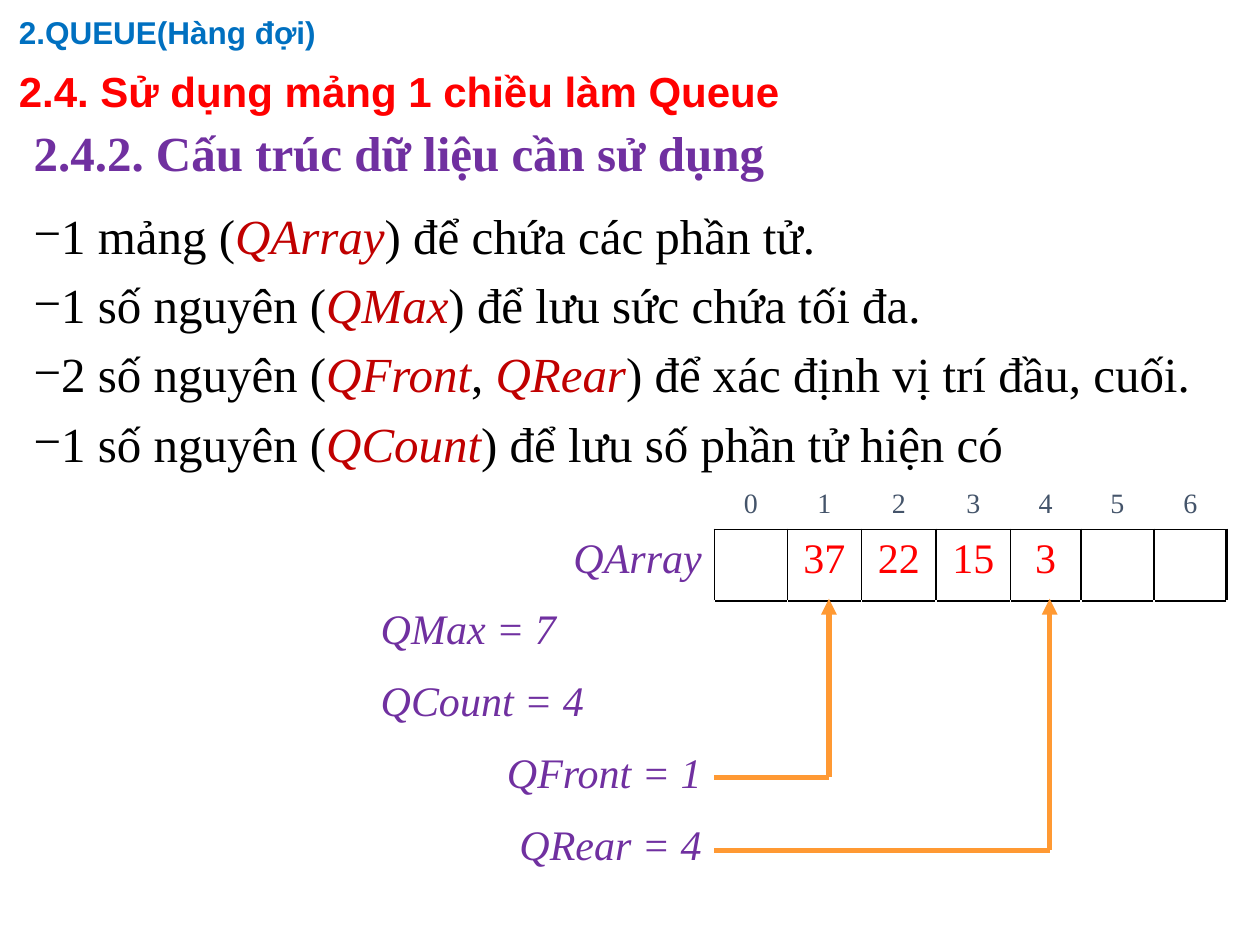
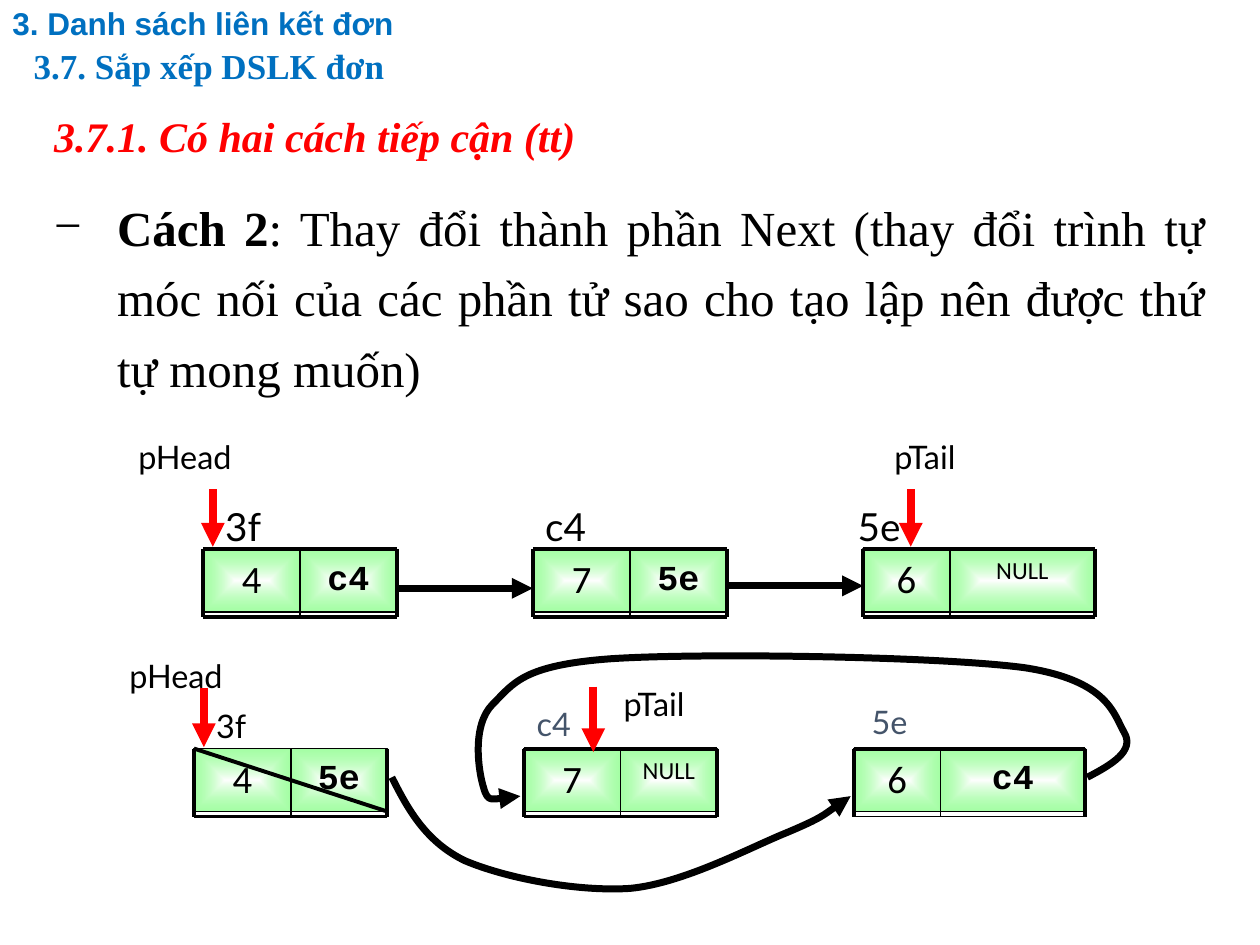
from dataclasses import dataclass

from lxml.etree import SubElement
from pptx import Presentation
from pptx.dml.color import RGBColor
from pptx.enum.shapes import MSO_CONNECTOR, MSO_SHAPE
from pptx.enum.text import MSO_ANCHOR, PP_ALIGN
from pptx.oxml import parse_xml
from pptx.oxml.ns import nsdecls, qn
from pptx.util import Cm, Pt


@dataclass(frozen=True)
class Theme:
    black: str = "000000"
    white: str = "FFFFFF"
    blue: str = "0070C0"
    red: str = "FF0000"
    dark_red: str = "C00000"
    purple: str = "7030A0"
    slate: str = "44546A"
    orange: str = "FF9933"
    green: str = "69FF69"
    serif: str = "Times New Roman"
    sans: str = "Arial"
    label: str = "Lato"
    value: str = "Calibri"
    code: str = "Courier New"
    chapter: float = 18
    section: float = 20
    heading: float = 24
    body: float = 28
    index: float = 16
    address: float = 22.1
    pointer: float = 18.5
    next: float = 20
    null: float = 14


T = Theme()
LEFT, CENTER, RIGHT, JUSTIFY = PP_ALIGN.LEFT, PP_ALIGN.CENTER, PP_ALIGN.RIGHT, PP_ALIGN.JUSTIFY

# Text between bars is emphasised. All positions are in centimetres.
QUEUE_HEADINGS = [
    ("2.QUEUE(Hàng đợi)", (0.13, 0.05, 21.89, 1.27), T.sans, T.chapter, T.blue, LEFT, 0.9),
    ("2.4. Sử dụng mảng 1 chiều làm Queue", (0.13, 1.02, 25.27, 1.73),
     T.sans, T.heading, T.red, JUSTIFY, 0.9),
    ("2.4.2. Cấu trúc dữ liệu cần sử dụng", (0.43, 2.11, 24.97, 1.78),
     T.serif, T.body, T.purple, JUSTIFY, 1.1),
]
QUEUE_FIELDS = [
    "1 mảng (|QArray|) để chứa các phần tử.",
    "1 số nguyên (|QMax|) để lưu sức chứa tối đa.",
    "2 số nguyên (|QFront|, |QRear|) để xác định vị trí đầu, cuối.",
    "1 số nguyên (|QCount|) để lưu số phần tử hiện có",
]
ARRAY_AT = (7.42, 9.73)
ARRAY_COLUMNS = [6.98, 1.47, 1.5, 1.5, 1.5, 1.42, 1.47, 1.47]
ARRAY_ROWS = [0.94] + [1.45] * 5
ARRAY_SLOTS = ["", "37", "22", "15", "3", "", ""]
ARRAY_FIELDS = [("QArray", RIGHT), ("QMax = 7", LEFT), ("QCount = 4", LEFT),
                ("QFront = 1", RIGHT), ("QRear = 4", RIGHT)]
FIELD_EDGE, SLOT_BOTTOM = 14.4, 12.07
INDEX_ARROWS = [(16.71, 15.67), (21.16, 17.14)]

LIST_HEADINGS = [
    ("3.7. Sắp xếp DSLK đơn", (0.43, 0.74, 21.26, 1.27), T.serif, T.section, T.blue, LEFT, 0.9),
    ("3. Danh sách liên kết đơn", (0, 0, 21.26, 1.02), T.sans, T.chapter, T.blue, LEFT, 0.9),
]
APPROACH_TITLE = "3.7.1. Có hai cách tiếp cận (tt)"
APPROACH = ("|Cách 2|: Thay đổi thành phần Next (thay đổi trình tự móc nối của các phần tử "
            "sao cho tạo lập nên được thứ tự mong muốn)")

NODE_PITCH, NODE_HEIGHT, FRAME_HEIGHT = 6.65, 1.27, 1.37
NODE_WIDTHS = [(1.95, 1.95), (1.95, 1.95), (1.75, 2.92)]
BEFORE = dict(
    at=(4.1, 11.07),
    nodes=[("4", "c4"), ("7", "5e"), ("6", "NULL")],
    pointers=[("pHead", 2.54, 8.69), ("pTail", 17.78, 8.69)],
    pointer_arrows=[(4.29, 9.86, 11.02), (18.36, 9.86, 11.02)],
    addresses=[("3f", 4.29, 10.01), ("c4", 10.74, 10.01), ("5e", 17.04, 10.01)],
    address_size=T.address,
)
AFTER = dict(
    at=(3.91, 15.09),
    nodes=[("4", "5e"), ("7", "NULL"), ("6", "c4")],
    pointers=[("pHead", 2.36, 13.11), ("pTail", 12.32, 13.67)],
    pointer_arrows=[(4.11, 13.87, 15.06), (11.96, 13.84, 15.16)],
    addresses=[("3f", 4.11, 14.12), ("c4", 10.57, 14.07), ("5e", 17.32, 14.02)],
    address_size=T.pointer,
    outlined=("c4", "5e"),
    struck_node=0,
    thin_base=2,
)
STRAIGHT_LINKS = [(8.0, 11.86, 10.74), (14.66, 11.81, 17.4)]
CURVED_LINKS = [
    [(7.9, 15.67), (8.23, 16.33), (8.59, 16.97), (9.37, 17.35),
     (10.19, 17.7), (11.63, 17.98), (12.7, 17.91),
     (13.77, 17.81), (15.11, 17.09), (15.85, 16.79),
     (16.59, 16.48), (16.84, 16.26), (17.15, 16.05)],
    [(21.92, 15.67), (22.4, 15.42), (22.89, 15.14), (22.66, 14.76),
     (22.45, 14.4), (22.35, 13.72), (20.65, 13.46),
     (18.92, 13.23), (14.12, 13.16), (12.32, 13.28),
     (10.54, 13.41), (10.36, 13.77), (9.93, 14.2),
     (9.5, 14.63), (9.65, 15.57), (9.75, 15.88),
     (9.83, 16.18), (10.16, 16.1), (10.49, 16.05)],
]


def rgb(color):
    return RGBColor.from_string(color)


def set_font(font, name, size, color, bold=False, italic=False):
    font.name, font.size, font.bold, font.italic = name, Pt(size), bold, italic
    font.color.rgb = rgb(color)


def write(paragraph, text, name, size, color, align=LEFT, bold=False, italic=False):
    paragraph.alignment = align
    set_font(paragraph.font, name, size, color, bold, italic)
    if text:
        paragraph.add_run().text = text


def write_bullet(paragraph, marked, indent, **emphasis):
    """Write a dashed item whose parts between bars carry the emphasis."""
    properties = paragraph._p.get_or_add_pPr()
    properties.set("marL", str(Cm(indent)))
    properties.set("indent", str(-Cm(indent)))
    SubElement(properties, qn("a:buFont"), typeface=T.serif)
    SubElement(properties, qn("a:buChar"), char="−")
    write(paragraph, "", T.serif, T.body, T.black, JUSTIFY)
    for i, part in enumerate(marked.split("|")):
        if part:
            run = paragraph.add_run()
            run.text = part
            if i % 2:
                set_font(run.font, T.serif, T.body, **emphasis)


def add_frame(slide, box, anchor=MSO_ANCHOR.TOP):
    frame = slide.shapes.add_textbox(*map(Cm, box)).text_frame
    frame.word_wrap = True
    frame.vertical_anchor = anchor
    return frame


def add_headings(slide, headings):
    for text, box, name, size, color, align, spacing in headings:
        paragraph = add_frame(slide, box, MSO_ANCHOR.MIDDLE).paragraphs[0]
        paragraph.line_spacing = spacing
        write(paragraph, text, name, size, color, align, bold=True)


def style_line(line, color, width, arrow=False):
    line.color.rgb = rgb(color)
    line.width = Pt(width)
    if arrow:
        SubElement(line._get_or_add_ln(), qn("a:tailEnd"), type="triangle")


def add_line(slide, start, end, color, width, arrow=False):
    line = slide.shapes.add_connector(MSO_CONNECTOR.STRAIGHT, *map(Cm, (*start, *end)))
    style_line(line.line, color, width, arrow)
    SubElement(line._element.spPr, qn("a:effectLst"))


def add_curve(slide, points):
    """Draw a Bézier arrow: a start point, then three points per segment."""
    start, *rest = [(Cm(x), Cm(y)) for x, y in points]
    builder = slide.shapes.build_freeform(*start)
    builder.add_line_segments(rest, close=False)
    curve = builder.convert_to_shape()
    curve.shadow.inherit = False
    curve.fill.background()
    style_line(curve.line, T.black, 4, arrow=True)
    outline = next(curve._element.iter(qn("a:path")))
    steps = outline.findall(qn("a:lnTo"))
    for i in range(0, len(steps), 3):
        bezier = SubElement(outline, qn("a:cubicBezTo"))
        for step in steps[i:i + 3]:
            bezier.append(step[0])
            outline.remove(step)


def add_borders(cell, sides):
    properties = cell._tc.get_or_add_tcPr()
    for side in "LRTB":
        if side in sides:
            properties.append(parse_xml(
                f'<a:ln{side} {nsdecls("a")} w="{Pt(sides[side])}"><a:solidFill>'
                f'<a:srgbClr val="{T.black}"/></a:solidFill></a:ln{side}>'))


def array_borders(row, column):
    last = len(ARRAY_COLUMNS) - 1
    if column == 0:
        return {"R": 1} if row == 1 else {}
    if row == 1:
        return {"L": 1, "R": 2.25 if column == last else 1, "T": 1, "B": 1}
    return {0: {"B": 1}, 2: {"T": 1}}.get(row, {})


def add_array(slide):
    table = slide.shapes.add_table(
        len(ARRAY_ROWS), len(ARRAY_COLUMNS), *map(Cm, ARRAY_AT),
        Cm(sum(ARRAY_COLUMNS)), Cm(sum(ARRAY_ROWS))).table
    table.first_row = table.horz_banding = False
    for column, width in zip(table.columns, ARRAY_COLUMNS):
        column.width = Cm(width)
    for r, height in enumerate(ARRAY_ROWS):
        table.rows[r].height = Cm(height)
        for c in range(len(ARRAY_COLUMNS)):
            cell = table.cell(r, c)
            add_borders(cell, array_borders(r, c))
            cell.fill.background()
            paragraph = cell.text_frame.paragraphs[0]
            if r == 0:
                write(paragraph, str(c - 1) if c else "", T.serif, T.index, T.slate, CENTER)
            elif c == 0:
                text, align = ARRAY_FIELDS[r - 1]
                write(paragraph, text, T.serif, T.heading, T.purple, align, italic=True)
            else:
                text = ARRAY_SLOTS[c - 1] if r == 1 else ""
                write(paragraph, text, T.serif, T.heading, T.red, CENTER)


def add_node_cell(slide, x, y, width, text, name, size, bold=False):
    cell = slide.shapes.add_shape(MSO_SHAPE.RECTANGLE, *map(Cm, (x, y, width, NODE_HEIGHT)))
    cell.shadow.inherit = False
    style_line(cell.line, T.black, 0.75)
    cell._element.spPr.insert(2, parse_xml(
        f'<a:gradFill {nsdecls("a")} rotWithShape="1"><a:gsLst>'
        f'<a:gs pos="0"><a:srgbClr val="{T.white}"/></a:gs><a:gs pos="100000">'
        f'<a:srgbClr val="{T.green}"><a:alpha val="60000"/></a:srgbClr></a:gs></a:gsLst>'
        '<a:path path="shape"><a:fillToRect l="50000" t="50000" r="50000" b="50000"/>'
        '</a:path></a:gradFill>'))
    cell.text_frame.vertical_anchor = MSO_ANCHOR.TOP
    cell.text_frame.word_wrap = True
    write(cell.text_frame.paragraphs[0], text, name, size, T.black, CENTER, bold)


def add_node(slide, x, y, widths, value, following, struck, base_width):
    middle, right = x + widths[0], x + sum(widths)
    bottom = y + FRAME_HEIGHT
    next_style = (T.value, T.null) if following == "NULL" else (T.code, T.next, True)
    add_node_cell(slide, middle, y, widths[1], following, *next_style)
    add_node_cell(slide, x, y, widths[0], value, T.value, T.address)
    add_line(slide, (x, y), (right, y + NODE_HEIGHT if struck else y), T.black, 2.25)
    add_line(slide, (x, bottom), (right, bottom), T.black, base_width)
    for side, width in ((x, 2.25), (middle, 1), (right, 2.25)):
        add_line(slide, (side, y), (side, bottom), T.black, width)


def add_linked_list(slide, at, nodes, pointers, pointer_arrows, addresses, address_size,
                    outlined=(), struck_node=None, thin_base=None):
    for text, x, y in addresses:
        height = 1.19 if address_size == T.address else 1.04
        label = slide.shapes.add_textbox(*map(Cm, (x, y, 1.75, height)))
        label.text_frame.word_wrap = True
        if text in outlined:
            style_line(label.line, T.white, 3)
        write(label.text_frame.paragraphs[0], text, T.label, address_size,
              T.slate if text in outlined else T.black)
    for i, (value, following) in enumerate(nodes):
        add_node(slide, at[0] + i * NODE_PITCH, at[1], NODE_WIDTHS[i], value, following,
                 i == struck_node, 0.75 if i == thin_base else 2.25)
    for text, x, y in pointers:
        write(add_frame(slide, (x, y, 2.74, 1.04)).paragraphs[0],
              text, T.label, T.pointer, T.black)
    for x, top, tip in pointer_arrows:
        add_line(slide, (x, top), (x, tip), T.red, 4.5, arrow=True)


def build_queue_slide(slide):
    add_headings(slide, QUEUE_HEADINGS)
    fields = add_frame(slide, (0.43, 4.01, 24.97, 5.6))
    for i, field in enumerate(QUEUE_FIELDS):
        paragraph = fields.add_paragraph() if i else fields.paragraphs[0]
        if i:
            paragraph.space_before = Pt(6)
        write_bullet(paragraph, field, 0.48, color=T.dark_red, italic=True)
    add_array(slide)
    for x, y in INDEX_ARROWS:
        add_line(slide, (FIELD_EDGE, y), (x, y), T.orange, 3)
        add_line(slide, (x, y), (x, SLOT_BOTTOM), T.orange, 3, arrow=True)


def build_list_slide(slide):
    add_headings(slide, LIST_HEADINGS)
    approach = add_frame(slide, (0.84, 1.9, 23.7, 6.6))
    title, item = approach.paragraphs[0], approach.add_paragraph()
    title.line_spacing = item.line_spacing = 1.2
    item.space_before = Pt(14)
    write(title, APPROACH_TITLE, T.serif, T.heading, T.red, JUSTIFY, bold=True, italic=True)
    write_bullet(item, APPROACH, 1.27, color=T.black, bold=True)
    for linked_list in (AFTER, BEFORE):
        add_linked_list(slide, **linked_list)
    for start, y, end in STRAIGHT_LINKS:
        add_line(slide, (start, y), (end, y), T.black, 4, arrow=True)
    for points in CURVED_LINKS:
        add_curve(slide, points)


def main():
    deck = Presentation()
    deck.slide_width, deck.slide_height = Cm(25.4), Cm(19.05)
    for build in (build_queue_slide, build_list_slide):
        build(deck.slides.add_slide(deck.slide_layouts[6]))
    deck.save("out.pptx")


if __name__ == "__main__":
    main()
